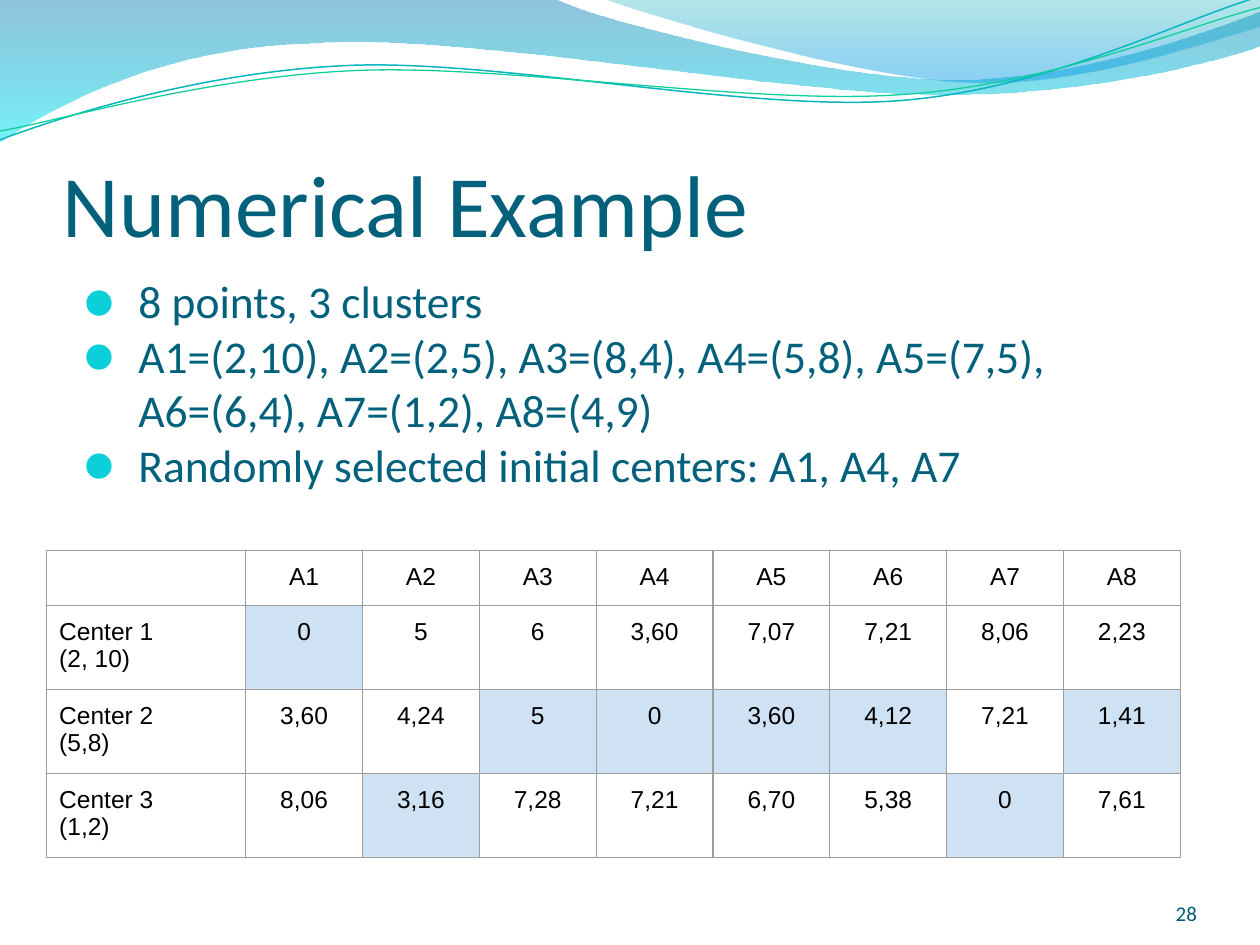
from lxml import etree
from pptx import Presentation
from pptx.dml.color import RGBColor
from pptx.enum import text as t
from pptx.oxml import ns
from pptx.util import Inches, Pt

TITLE = "Numerical Example"
BULLETS = [
    "8 points, 3 clusters",
    "A1=(2,10), A2=(2,5), A3=(8,4), A4=(5,8), A5=(7,5), A6=(6,4), A7=(1,2), A8=(4,9)",
    "Randomly selected initial centers: A1, A4, A7",
]
PAGE_NUMBER = "28"
DISTANCES = [
    ["", "A1", "A2", "A3", "A4", "A5", "A6", "A7", "A8"],
    ["Center 1\n(2, 10)", "0", "5", "6", "3,60", "7,07", "7,21", "8,06", "2,23"],
    ["Center 2\n(5,8)", "3,60", "4,24", "5", "0", "3,60", "4,12", "7,21", "1,41"],
    ["Center 3\n(1,2)", "8,06", "3,16", "7,28", "7,21", "6,70", "5,38", "0", "7,61"],
]
NEAREST = {(1, 1), (2, 3), (2, 4), (2, 5), (2, 6), (2, 8), (3, 2), (3, 7)}

# Each segment has one point (a line) or three (a cubic curve).
WAVES = [
    {"start": (0, 0),
     "segments": [[(4.4, -0.01)], [(4.76, 0.17), (6.64, 0.63), (7.58, 0.63)],
                  [(8.53, 0.63), (9.58, 0.26), (10, 0.09)], [(10.01, 0.36)],
                  [(9.83, 0.44), (8.7, 0.76), (7.46, 0.75)],
                  [(6.22, 0.75), (3.82, 0.28), (2.57, 0.34)],
                  [(1.29, 0.36), (0.46, 0.83), (-0.01, 1.13)], [(0, 0)]],
     "gradient": [(0, "0079AD", 44), (1, "00E9F7", 55)]},
    {"start": (4.79, -0.01),
     "segments": [[(5.09, 0.11), (6.82, 0.62), (7.69, 0.65)],
                  [(8.56, 0.69), (9.61, 0.32), (10, 0.21)], [(10, 0)], [(4.79, -0.01)]],
     "gradient": [(0, "00ABB4", 29), (0.8, "0099E4", 44)]},
    {"start": (0, 1.11),
     "segments": [[(0.48, 0.93), (1.58, 0.57), (2.77, 0.52)],
                  [(3.95, 0.47), (5.93, 0.89), (7.13, 0.8)],
                  [(8.33, 0.71), (9.38, 0.15), (9.98, -0.02)]],
     "line": ("09B6BE", 0.85)},
    {"start": (0, 1.04),
     "segments": [[(0.47, 0.96), (1.64, 0.61), (2.83, 0.56)],
                  [(4.03, 0.51), (5.97, 0.84), (7.17, 0.75)],
                  [(8.36, 0.67), (9.41, 0.21), (10, 0.06)]],
     "line": ("10CF9B", 0.75)},
]


def color(value):
    return RGBColor.from_string(value)


def add_xml(parent, tag, **attributes):
    return etree.SubElement(parent, ns.qn(tag), attributes)


def emu(point):
    return tuple(Inches(value) for value in point)


def bend(wave, segments):
    """Turn every three straight steps that stand for a curve into that curve."""
    steps = iter(wave._element.findall(".//" + ns.qn("a:lnTo")))
    for segment in segments:
        first, *others = [next(steps) for _ in segment]
        if others:
            curve = etree.Element(ns.qn("a:cubicBezTo"))
            first.addprevious(curve)
            for step in (first, *others):
                curve.append(step[0])
                step.getparent().remove(step)


def add_wave(page, start, segments, gradient=None, line=None):
    builder = page.shapes.build_freeform(*emu(start), scale=1.0)
    points = [emu(point) for segment in segments for point in segment]
    builder.add_line_segments(points, close=gradient is not None)
    wave = builder.convert_to_shape()
    bend(wave, segments)
    wave.shadow.inherit = False
    if gradient:
        wave.line.fill.background()
        wave.fill.gradient()
        wave.fill.gradient_angle = 270
        stops = wave._element.spPr.findall(".//" + ns.qn("a:gs"))
        for stop, element, (position, value, opacity) in zip(
                wave.fill.gradient_stops, stops, gradient):
            stop.position = position
            stop.color.rgb = color(value)
            add_xml(element[0], "a:alpha", val=str(opacity * 1000))
    else:
        wave.fill.background()
        wave.line.color.rgb = color(line[0])
        wave.line.width = Pt(line[1])


def write(frame, lines, font, align=t.PP_ALIGN.LEFT):
    frame.text = "\n".join(lines)
    for para in frame.paragraphs:
        para.alignment = align
        for span in para.runs:
            span.font.name = font["name"]
            span.font.size = Pt(font["size"])
            span.font.color.rgb = color(font["color"])
        if not para.runs:
            add_xml(para._p, "a:endParaRPr", sz=str(font["size"] * 100))


def add_text(page, place, lines, font, insets, anchor, align=t.PP_ALIGN.LEFT):
    frame = page.shapes.add_textbox(*map(Inches, place)).text_frame
    frame.word_wrap = True
    frame.vertical_anchor = anchor
    for side, inset in zip(("left", "top", "right", "bottom"), insets):
        setattr(frame, f"margin_{side}", Inches(inset))
    write(frame, lines, font, align)
    return frame


def add_bullets(frame):
    frame.paragraphs[0].space_before = Pt(5.2)
    for para in frame.paragraphs:
        properties = para._p.get_or_add_pPr()
        properties.set("marL", str(Inches(0.5)))
        properties.set("indent", str(Inches(-0.42)))
        add_xml(add_xml(properties, "a:buClr"), "a:srgbClr", val="0BD0D9")
        add_xml(properties, "a:buFont", typeface="Arial")
        add_xml(properties, "a:buChar", char="⚫")


def add_borders(cell, value, width):
    properties = cell._tc.get_or_add_tcPr()
    for side in ("a:lnL", "a:lnR", "a:lnT", "a:lnB"):
        border = add_xml(properties, side, w=str(Pt(width)))
        add_xml(add_xml(border, "a:solidFill"), "a:srgbClr", val=value)


def add_distances(page):
    width, height, label_width, row_height = 9, 2.43, 1.58, 0.42
    count = len(DISTANCES[0])
    holder = page.shapes.add_table(len(DISTANCES), count, Inches(0.37), Inches(4.37),
                                   Inches(width), Inches(height))
    table = holder.table
    table.first_row = table.horz_banding = False
    for index, column in enumerate(table.columns):
        column.width = Inches((width - label_width) / (count - 1) if index else label_width)
    font = {"name": "Arial", "size": 14, "color": "000000"}
    for r, values in enumerate(DISTANCES):
        table.rows[r].height = Inches(row_height)
        for c, value in enumerate(values):
            cell = table.cell(r, c)
            for side in ("left", "top", "right", "bottom"):
                setattr(cell, f"margin_{side}", Inches(0.1))
            write(cell.text_frame, value.split("\n"), font,
                  t.PP_ALIGN.CENTER if c else t.PP_ALIGN.LEFT)
            add_borders(cell, "9E9E9E", 0.75)
            if (r, c) in NEAREST:
                cell.fill.solid()
                cell.fill.fore_color.rgb = color("CFE2F3")
            else:
                cell.fill.background()
    holder.height = Inches(height)


def main():
    deck = Presentation()
    deck.slide_width, deck.slide_height = Inches(10), Inches(7.5)
    page = deck.slides.add_slide(deck.slide_layouts[6])
    for wave in WAVES:
        add_wave(page, **wave)
    heading = {"name": "Calibri", "size": 50, "color": "04617B"}
    add_text(page, (0.5, 0.77, 9, 1.25), [TITLE], heading,
             (0, 0.05, 0, 0), t.MSO_ANCHOR.BOTTOM)
    body = add_text(page, (0.5, 2.12, 9, 4.8), BULLETS, {**heading, "size": 26},
                    (0.1, 0.05, 0.1, 0.05), t.MSO_ANCHOR.TOP)
    add_bullets(body)
    add_text(page, (9.14, 6.95, 0.36, 0.4), [PAGE_NUMBER],
             {"name": "Calibri", "size": 12, "color": "035C75"},
             (0, 0, 0, 0), t.MSO_ANCHOR.BOTTOM, t.PP_ALIGN.RIGHT)
    add_distances(page)
    deck.save("out.pptx")


if __name__ == "__main__":
    main()
